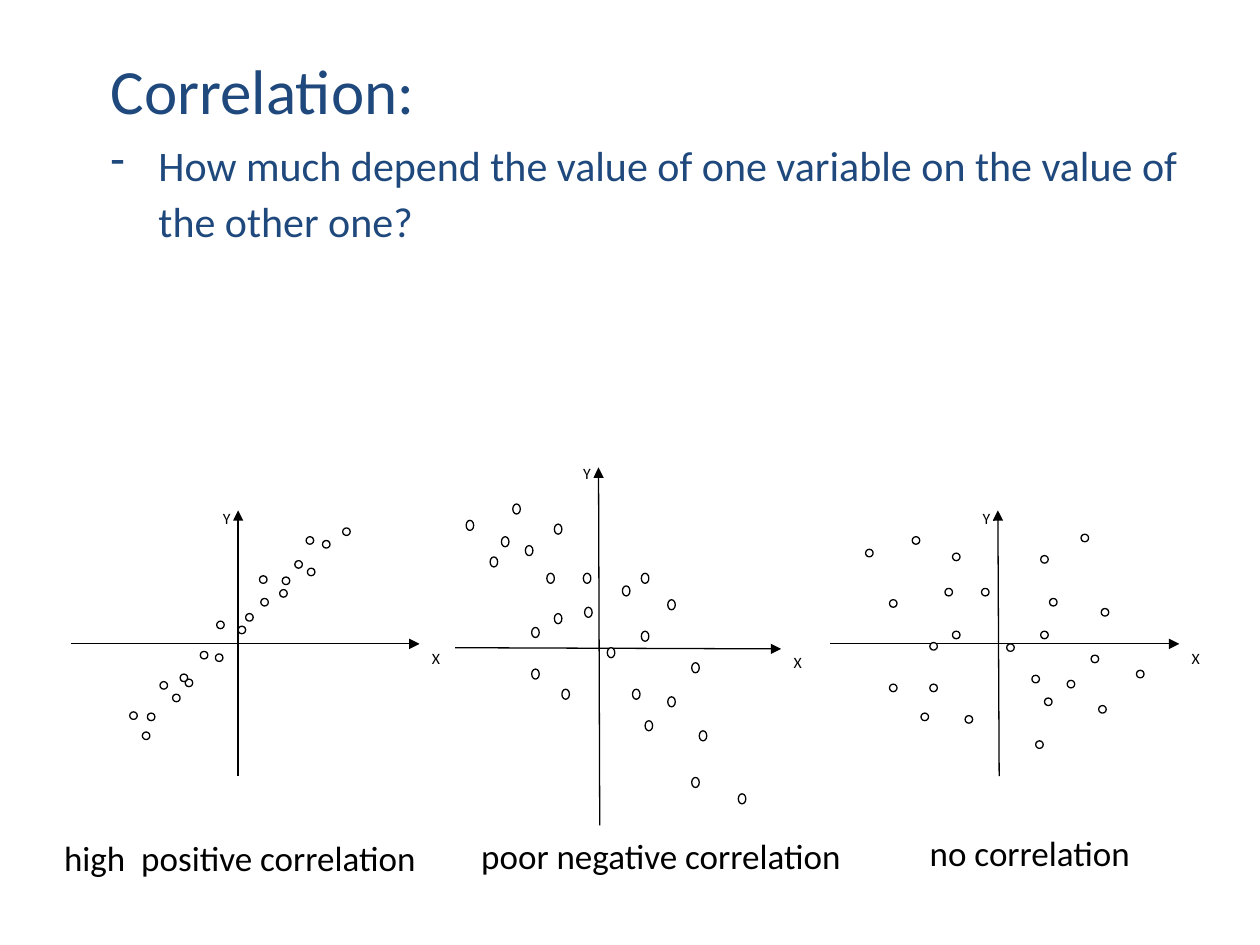
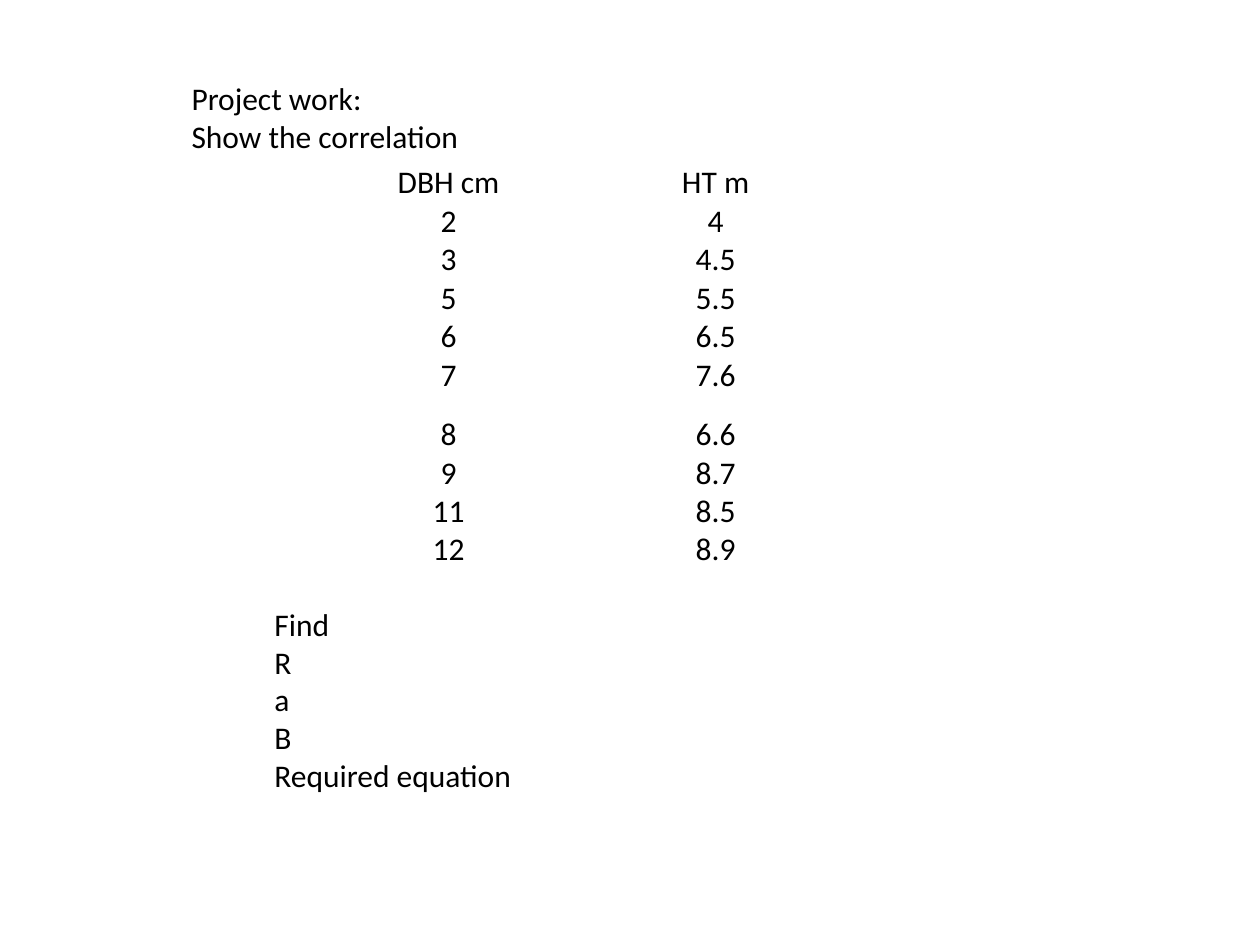
import pptx
import pptx.dml.color
import pptx.enum.shapes
import pptx.enum.text
import pptx.oxml
import pptx.oxml.ns
import pptx.util

PX = 9144
ANCHOR = pptx.enum.text.MSO_ANCHOR
ALIGN = pptx.enum.text.PP_ALIGN
SHAPE = pptx.enum.shapes.MSO_SHAPE
CONNECTOR = pptx.enum.shapes.MSO_CONNECTOR

THEME = {
    "font": "Calibri",
    "heading": "1F497D",
    "ink": "000000",
    "paper": "FFFFFF",
    "title_size": 36,
    "question_size": 24,
    "question_line": 32,
    "caption_size": 20,
    "body_size": 18,
    "axis_size": 9,
    "line_width": 0.75,
}

CORRELATION_TITLE = ["Correlation:"]
QUESTION = ["How much depend the value of one variable on the value of the other one?"]

PLOTS = [
    {
        "x_axis": (342, 514, 620, 515),
        "y_axis": (476, 655, 475, 371),
        "y_label": (453, 363, 18, 38),
        "x_label": (620, 513, 28, 34),
        "dot": (6, 8),
        "points": [
            (407, 400), (509, 455), (512, 572), (446, 547), (509, 501),
            (434, 455), (586, 630), (530, 476), (440, 487), (494, 465),
            (502, 547), (422, 531), (482, 514), (530, 553), (549, 526),
            (398, 426), (417, 433), (549, 617), (555, 580), (464, 482),
            (370, 413), (422, 498), (440, 416), (463, 455), (389, 442),
        ],
    },
    {
        "x_axis": (659, 511, 936, 511),
        "y_axis": (793, 616, 792, 405),
        "y_label": (770, 399, 18, 28),
        "x_label": (936, 510, 28, 25),
        "dot": (6, 6),
        "points": [
            (724, 426), (826, 441), (829, 554), (706, 543), (826, 501),
            (750, 467), (902, 532), (874, 483), (756, 501), (833, 475),
            (819, 536), (738, 543), (799, 511), (847, 540), (866, 520),
            (766, 568), (731, 566), (822, 588), (872, 560), (858, 424),
            (687, 436), (738, 510), (756, 439), (779, 467), (706, 476),
        ],
    },
    {
        "x_axis": (56, 511, 333, 511),
        "y_axis": (189, 616, 189, 405),
        "y_label": (167, 399, 18, 28),
        "x_label": (333, 510, 28, 25),
        "dot": (6, 6),
        "points": [
            (243, 426), (222, 468), (147, 539), (171, 519), (189, 497),
            (256, 429), (117, 566), (244, 451), (207, 475), (103, 565),
            (195, 487), (137, 551), (234, 445), (143, 535), (113, 581),
            (127, 541), (206, 457), (159, 517), (272, 419), (172, 493),
            (224, 458),
        ],
    },
]

CAPTIONS = [
    ("high  positive correlation", (41, 659, 328, 44)),
    ("poor negative correlation", (372, 657, 355, 44)),
    ("no correlation", (728, 655, 192, 43)),
]

PROJECT_TITLE = ["Project work:", "Show the correlation"]
MEASUREMENTS = [
    ("DBH cm", "HT m"),
    ("2", "4"),
    ("3", "4.5"),
    ("5", "5.5"),
    ("6", "6.5"),
    ("7", "7.6"),
    ("8", "6.6"),
    ("9", "8.7"),
    ("11", "8.5"),
    ("12", "8.9"),
]
ROW_HEIGHT = 30
TALL_ROW, TALL_ROW_HEIGHT = 6, 47
COLUMN_WIDTH = 212
RESULTS_TO_FIND = ["Find", "R", "a", "B", "Required equation"]


def emu(lengths):
    return [pptx.util.Emu(length * PX) for length in lengths]


def color(name):
    return pptx.dml.color.RGBColor.from_string(THEME[name])


def write_text(frame, lines, size="body_size", ink="ink", align=ALIGN.LEFT,
               anchor=ANCHOR.TOP, wrap=True, bullet=None, indent=0, line_spacing=None):
    frame.word_wrap = wrap
    frame.auto_size = pptx.enum.text.MSO_AUTO_SIZE.NONE
    frame.vertical_anchor = anchor
    for index, line in enumerate(lines):
        paragraph = frame.paragraphs[0] if index == 0 else frame.add_paragraph()
        paragraph.alignment = align
        if line_spacing:
            paragraph.line_spacing = pptx.util.Pt(line_spacing)
        if bullet:
            properties = paragraph._p.get_or_add_pPr()
            properties.set("marL", str(indent * PX))
            properties.set("indent", str(-indent * PX))
            mark = pptx.oxml.parse_xml(
                f'<a:buChar {pptx.oxml.ns.nsdecls("a")} char="{bullet}"/>')
            properties.append(mark)
        run = paragraph.add_run()
        run.text = line
        run.font.name = THEME["font"]
        run.font.size = pptx.util.Pt(THEME[size])
        run.font.color.rgb = color(ink)


def add_titled_slide(presentation, lines, box, **text_format):
    slide = presentation.slides.add_slide(presentation.slide_layouts[5])
    title = slide.shapes.title
    title.left, title.top, title.width, title.height = emu(box)
    write_text(title.text_frame, lines, **text_format)
    return slide


def add_text_box(slide, lines, box, **text_format):
    shape = slide.shapes.add_textbox(*emu(box))
    write_text(shape.text_frame, lines, **text_format)


def add_paper_shape(shapes, kind, box, outlined=False):
    shape = shapes.add_shape(kind, *emu(box))
    shape.shadow.inherit = False
    shape.fill.solid()
    shape.fill.fore_color.rgb = color("paper")
    if outlined:
        shape.line.color.rgb = color("ink")
        shape.line.width = pptx.util.Pt(THEME["line_width"])
    else:
        shape.line.fill.background()
    return shape


def add_label(shapes, text, box, **text_format):
    label = add_paper_shape(shapes, SHAPE.RECTANGLE, box)
    write_text(label.text_frame, [text], **text_format)
    return label


def add_axis(shapes, ends):
    axis = shapes.add_connector(CONNECTOR.STRAIGHT, *emu(ends))
    axis.line.color.rgb = color("ink")
    axis.line.width = pptx.util.Pt(THEME["line_width"])
    namespace = pptx.oxml.ns.nsdecls("a")
    axis.line._get_or_add_ln().append(
        pptx.oxml.parse_xml(f'<a:tailEnd {namespace} type="triangle"/>'))
    axis._element.spPr.append(pptx.oxml.parse_xml(f"<a:effectLst {namespace}/>"))


def add_scatter_plot(slide, plot):
    shapes = slide.shapes.add_group_shape().shapes
    for axis in ("x_axis", "y_axis"):
        add_axis(shapes, plot[axis])
    for point in plot["points"]:
        add_paper_shape(shapes, SHAPE.OVAL, point + plot["dot"], outlined=True)
    for name, box in (("Y", plot["y_label"]), ("X", plot["x_label"])):
        label = add_label(shapes, name, box, size="axis_size", wrap=False)
        label.text_frame.margin_right = 0


def add_measurement_table(slide):
    heights = [ROW_HEIGHT] * len(MEASUREMENTS)
    heights[TALL_ROW] = TALL_ROW_HEIGHT
    columns = len(MEASUREMENTS[0])
    box = (250, 130, columns * COLUMN_WIDTH, sum(heights))
    table = slide.shapes.add_table(len(heights), columns, *emu(box)).table
    table.first_row = False
    table.horz_banding = False
    for row, height, values in zip(table.rows, emu(heights), MEASUREMENTS):
        row.height = height
        for cell, value in zip(row.cells, values):
            cell.fill.background()
            cell.margin_left = cell.margin_right = 0
            cell.margin_top = cell.margin_bottom = 0
            cell.vertical_anchor = ANCHOR.BOTTOM
            paragraph = cell.text_frame.paragraphs[0]
            paragraph.alignment = ALIGN.CENTER
            run = paragraph.add_run()
            run.text = value
            run.font.name = THEME["font"]
            run.font.size = pptx.util.Pt(THEME["body_size"])
            run.font.color.rgb = color("ink")


def build_correlation_slide(presentation):
    slide = add_titled_slide(presentation, CORRELATION_TITLE, (78, 36, 884, 65),
                             size="title_size", ink="heading")
    add_text_box(slide, QUESTION, (78, 101, 884, 114), size="question_size",
                 ink="heading", bullet="-", indent=38,
                 line_spacing=THEME["question_line"])
    for plot in PLOTS:
        add_scatter_plot(slide, plot)
    for caption, box in CAPTIONS:
        add_label(slide.shapes, caption, box, size="caption_size")


def build_project_slide(presentation):
    slide = add_titled_slide(presentation, PROJECT_TITLE, (142, 58, 592, 71))
    add_measurement_table(slide)
    add_text_box(slide, RESULTS_TO_FIND, (208, 475, 550, 192))


def main():
    presentation = pptx.Presentation()
    presentation.slide_width, presentation.slide_height = emu((1000, 750))
    build_correlation_slide(presentation)
    build_project_slide(presentation)
    presentation.save("out.pptx")


if __name__ == "__main__":
    main()
